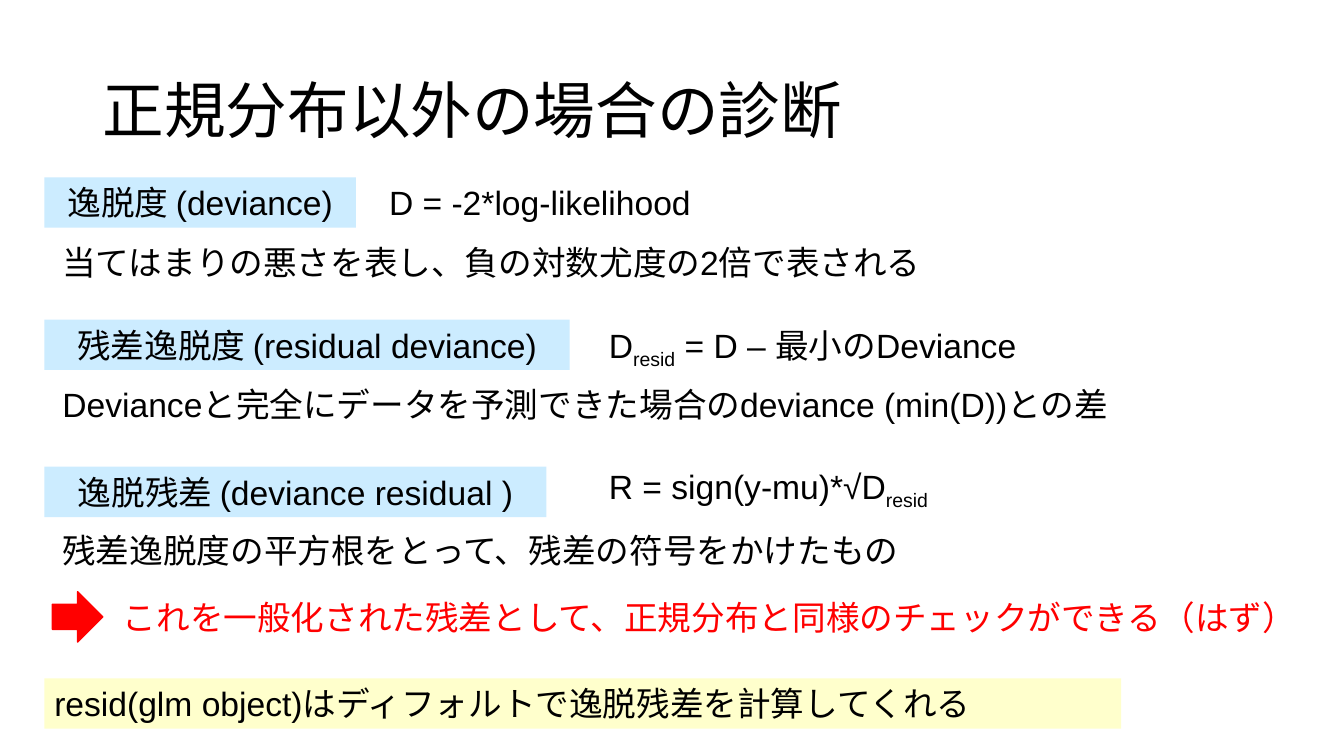
"""Build a slide on model diagnosis for non-normal distributions."""
from dataclasses import dataclass

from pptx import Presentation
from pptx.dml.color import RGBColor
from pptx.enum.shapes import MSO_SHAPE
from pptx.enum.text import MSO_ANCHOR, MSO_AUTO_SIZE, PP_ALIGN
from pptx.util import Inches, Pt

TITLE = "正規分布以外の場合の診断"
TERMS = [
    ("逸脱度 (deviance)", 1.76, 3.09),
    ("残差逸脱度 (residual deviance)", 3.17, 5.21),
    ("逸脱残差 (deviance residual )", 4.63, 4.98),
]
RULES = [
    (["D = -2*log-likelihood"], 3.76, 1.76, 3.69),
    (["D", "resid", " = D – 最小のDeviance"], 5.94, 3.17, 4.65),
    (["R = sign(y-mu)*√D", "resid"], 5.94, 4.57, 3.96),
]
NOTES = [
    ("当てはまりの悪さを表し、負の対数尤度の2倍で表される", 2.35, 8.87, True),
    ("Devianceと完全にデータを予測できた場合のdeviance (min(D))との差", 3.76, 11.18, False),
    ("残差逸脱度の平方根をとって、残差の符号をかけたもの", 5.21, 8.62, False),
]
POINT = "これを一般化された残差として、正規分布と同様のチェックができる（はず）"
HINT = "resid(glm object)はディフォルトで逸脱残差を計算してくれる"
SUB = "resid"
EDGE, INSET, ROW = 0.44, 0.52, 0.5
POINT_TOP = 5.87


@dataclass(frozen=True)
class Theme:
    font: str = "Arial"
    head: int = 44
    body: int = 24
    ink: str = "000000"
    red: str = "FF0000"
    blue: str = "CCECFF"
    cream: str = "FFFFCC"


LOOK = Theme()


def write(box, parts, size=LOOK.body, ink=LOOK.ink, wrap=False):
    frame = box.text_frame
    frame.word_wrap = wrap
    para = frame.paragraphs[0]
    para.alignment = PP_ALIGN.LEFT
    for part in parts:
        run = para.add_run()
        run.text = part
        run.font.name = LOOK.font
        run.font.size = Pt(size)
        run.font.color.rgb = RGBColor.from_string(ink)
        if part == SUB:
            run._r.get_or_add_rPr().set("baseline", "-25000")
    return para


def add_text(slide, parts, x, y, w, **style):
    box = slide.shapes.add_textbox(*map(Inches, (x, y, w, ROW)))
    write(box, parts, **style)
    box.text_frame.auto_size = MSO_AUTO_SIZE.SHAPE_TO_FIT_TEXT


def add_block(slide, kind, fill, x, y, w):
    block = slide.shapes.add_shape(kind, *map(Inches, (x, y, w, ROW)))
    block.shadow.inherit = False
    block.fill.solid()
    block.fill.fore_color.rgb = RGBColor.from_string(fill)
    block.line.fill.background()
    block.text_frame.vertical_anchor = MSO_ANCHOR.TOP
    return block


def main():
    deck = Presentation()
    deck.slide_width, deck.slide_height = Inches(13.33), Inches(7.5)
    slide = deck.slides.add_slide(deck.slide_layouts[6])

    title = slide.shapes.add_textbox(*map(Inches, (0.92, 0.4, 11.5, 1.45)))
    title.text_frame.vertical_anchor = MSO_ANCHOR.MIDDLE
    write(title, [TITLE], size=LOOK.head, wrap=True).line_spacing = 0.9

    for term, y, w in TERMS:
        label = add_block(slide, MSO_SHAPE.RECTANGLE, LOOK.blue, EDGE, y, w)
        write(label, [term]).alignment = PP_ALIGN.CENTER
    for parts, x, y, w in RULES:
        add_text(slide, parts, x, y, w)
    for note, y, w, wrap in NOTES:
        add_text(slide, [note], INSET, y, w, wrap=wrap)

    arrow = add_block(slide, MSO_SHAPE.RIGHT_ARROW, LOOK.red, INSET, POINT_TOP, ROW)
    arrow.line.color.rgb = RGBColor.from_string(LOOK.red)
    arrow.line.width = Pt(1)
    add_text(slide, [POINT], 1.12, POINT_TOP, 11.98, ink=LOOK.red)

    hint = add_block(slide, MSO_SHAPE.RECTANGLE, LOOK.cream, EDGE, 6.73, 10.68)
    write(hint, [HINT], wrap=True).space_after = Pt(12)

    deck.save("out.pptx")


if __name__ == "__main__":
    main()
